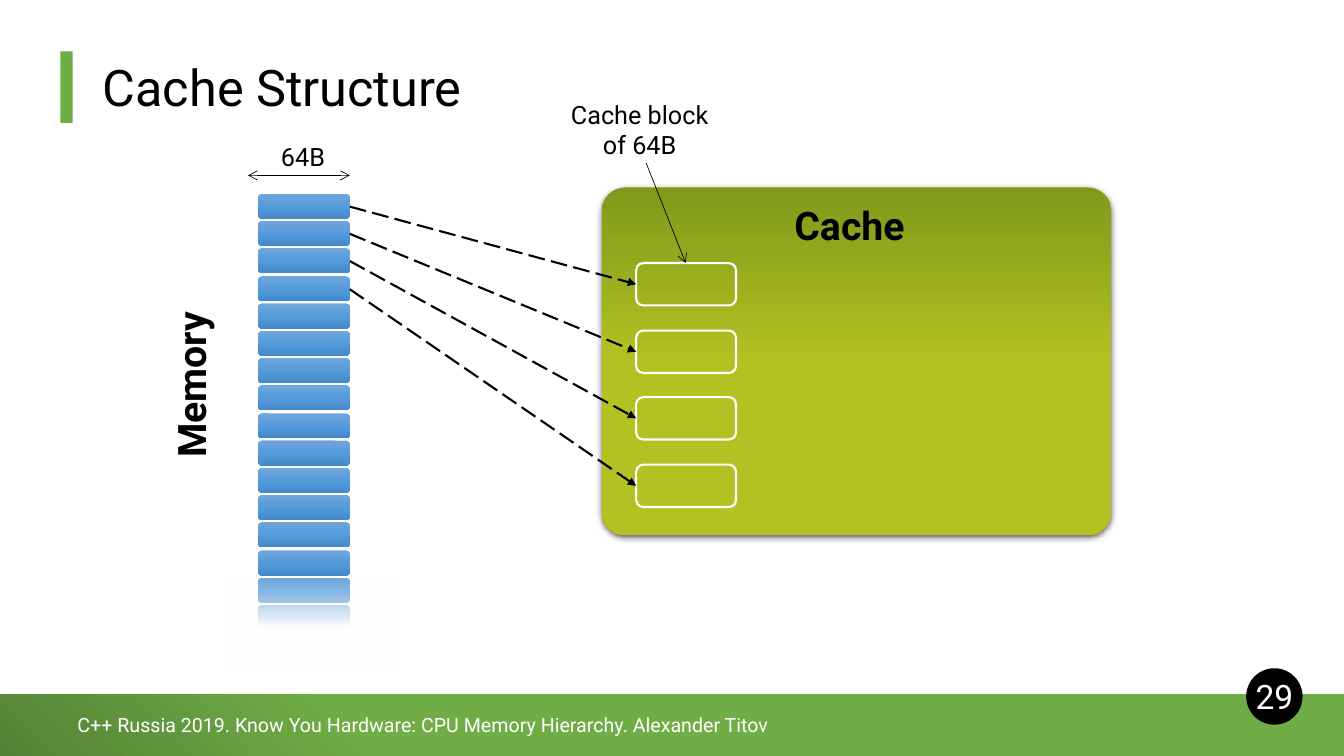
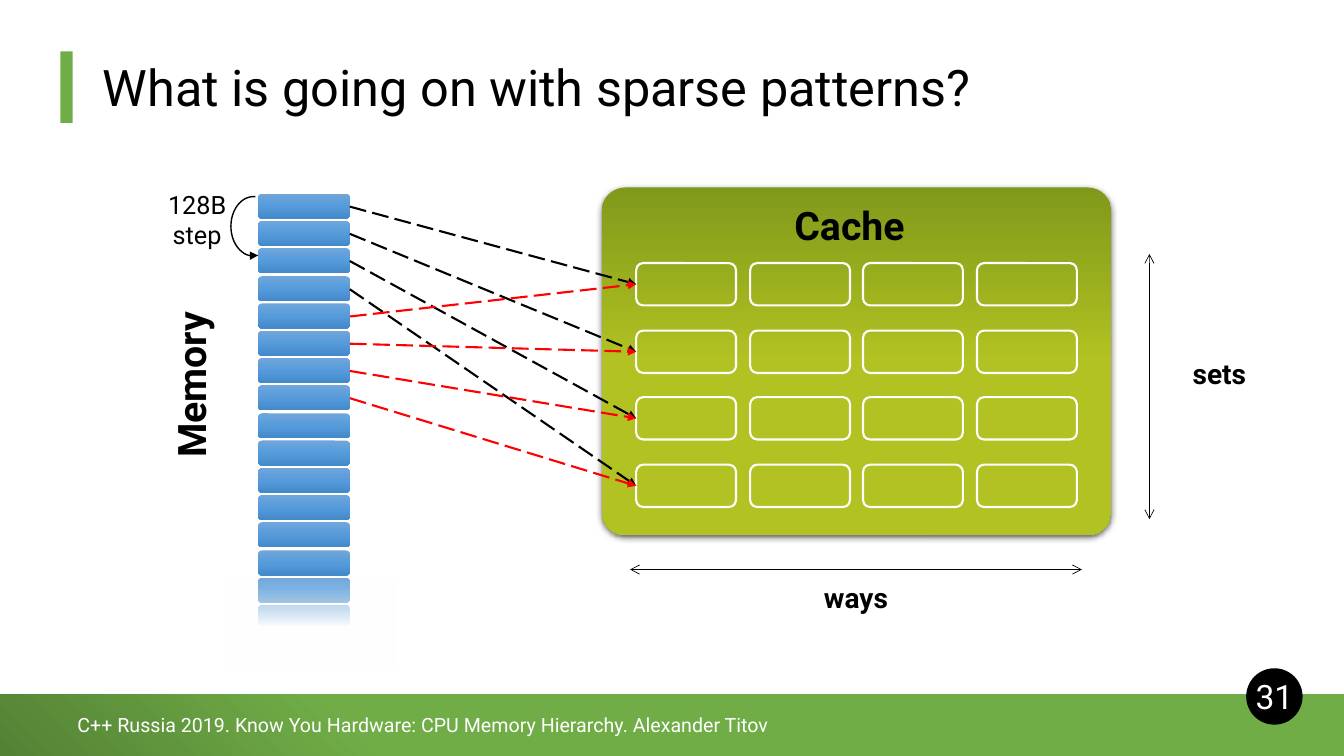
from dataclasses import dataclass

import pptx
import pptx.dml.color
import pptx.enum.dml
import pptx.enum.shapes
import pptx.enum.text
import pptx.oxml.ns
import pptx.util
from lxml import etree

PX = 9144
SHAPE = pptx.enum.shapes.MSO_SHAPE
ALIGN = pptx.enum.text.PP_ALIGN
ANCHOR = pptx.enum.text.MSO_ANCHOR
RGB = pptx.dml.color.RGBColor.from_string
Pt = pptx.util.Pt
qn = pptx.oxml.ns.qn


@dataclass(frozen=True)
class Theme:
    font: str = "Roboto"
    black: str = "000000"
    white: str = "FFFFFF"
    red: str = "FF0000"
    green: str = "70AD47"
    band: tuple = ((0, "548235", 100), (28, "70AD47", 100), (100, "70AD47", 100))
    cache: tuple = ((0, "7F991A", 100), (50, "B2C222", 100), (100, "B2C222", 100))
    block: tuple = ((0, "71A6DB", 100), (50, "559BDB", 100), (100, "448ACA", 100))
    fade: tuple = ((0, "FFFFFF", 0), (54, "FFFFFF", 100), (100, "FFFFFF", 100))
    title: int = 36
    heading: int = 28
    number: int = 24
    axis: int = 20
    label: int = 18
    footer: int = 14


T = Theme()


def add_shape(s, kind, box, fill=None, line=None, width=1.5, angle=270):
    sp = s.shapes.add_shape(kind, *[v * PX for v in box])
    sp.shadow.inherit = False
    if fill is None:
        sp.fill.background()
    elif isinstance(fill, str):
        sp.fill.solid()
        sp.fill.fore_color.rgb = RGB(fill)
    else:
        sp.fill.gradient()
        sp.fill.gradient_angle = angle
        stops = sp.element.spPr.find(".//" + qn("a:gsLst"))
        for gs in list(stops):
            stops.remove(gs)
        for pos, color, alpha in fill:
            gs = etree.SubElement(stops, qn("a:gs"), pos=str(pos * 1000))
            clr = etree.SubElement(gs, qn("a:srgbClr"), val=color)
            etree.SubElement(clr, qn("a:alpha"), val=str(alpha * 1000))
    if line:
        sp.line.color.rgb = RGB(line)
        sp.line.width = Pt(width)
    else:
        sp.line.fill.background()
    return sp


def add_text(s, box, lines, size, color=T.black, bold=False, align=ALIGN.CENTER, wrap=True):
    sp = s.shapes.add_textbox(*[v * PX for v in box])
    tf = sp.text_frame
    tf.word_wrap = wrap
    tf.vertical_anchor = ANCHOR.MIDDLE
    for i, line in enumerate(lines):
        p = tf.add_paragraph() if i else tf.paragraphs[0]
        p.alignment = align
        r = p.add_run()
        r.text = line
        r.font.name = T.font
        r.font.size = Pt(size)
        r.font.bold = bold
        r.font.color.rgb = RGB(color)
    return sp


prs = pptx.Presentation()
prs.slide_width = 1333 * PX
prs.slide_height = 750 * PX
layout = prs.slide_layouts[5]
for ph in list(layout.placeholders):
    if ph.placeholder_format.idx:
        ph.element.getparent().remove(ph.element)

block_x, block_w, block_h = 256, 91, 25
block_tops = [192 + round(27.2 * i) for i in range(16)]
cell_w, cell_h = 99, 42
cell_lefts = [631 + round(338 * i / 3) for i in range(4)]
cell_tops = [261 + round(200 * i / 3) for i in range(4)]

pages = [
    {
        "title": "Cache Structure",
        "number": "29",
        "ways": 1,
        "mapped": [T.black],
        "pointers": [((680, 261, 641, 162), "arrow", None),
                     ((246, 174, 347, 174), "arrow", "arrow")],
        "labels": [((546, 93, 177, 71), ["Cache block of 64B"], T.label, False, True),
                   ((268, 135, 65, 40), ["64B"], T.label, False, False)],
    },
    {
        "title": "What is going on with sparse patterns?",
        "number": "31",
        "ways": 4,
        "mapped": [T.black, T.red],
        "pointers": [((625, 565, 1073, 565), "arrow", "arrow"),
                     ((1140, 252, 1140, 515), "arrow", "arrow")],
        "labels": [((807, 571, 84, 44), ["ways"], T.axis, True, False),
                   ((1173, 348, 73, 44), ["sets"], T.axis, True, False),
                   ((156, 182, 79, 71), ["128B", "step"], T.label, False, True)],
    },
]

for page in pages:
    s = prs.slides.add_slide(layout)
    if page is pages[0]:
        shared = [
            add_shape(s, SHAPE.RECTANGLE, (0, 689, 1333, 61), T.band, angle=45),
            add_shape(s, SHAPE.RECTANGLE, (60, 51, 12, 71), T.green),
            add_shape(s, SHAPE.OVAL, (1236, 663, 56, 56), T.black),
            add_text(s, (67, 695, 1100, 48),
                     ["C++ Russia 2019. Know You Hardware: CPU Memory Hierarchy. Alexander Titov"],
                     T.footer, T.white, align=ALIGN.LEFT),
        ]
        for sp in shared:
            layout.shapes.element.append(sp.element)

    title = s.shapes.title
    title.left, title.top, title.width, title.height = [v * PX for v in (92, 0, 1150, 122)]
    tf = title.text_frame
    tf.auto_size = pptx.enum.text.MSO_AUTO_SIZE.NONE
    tf.vertical_anchor = ANCHOR.BOTTOM
    p = tf.paragraphs[0]
    p.alignment = ALIGN.LEFT
    p.line_spacing = 0.9
    r = p.add_run()
    r.text = page["title"]
    r.font.name = T.font
    r.font.size = Pt(T.title)
    r.font.color.rgb = RGB(T.black)

    add_text(s, (1228, 663, 72, 56), [page["number"]], T.number, T.white)

    for top in block_tops:
        add_shape(s, SHAPE.ROUNDED_RECTANGLE, (block_x, top, block_w, block_h), T.block)
    add_shape(s, SHAPE.RECTANGLE, (224, 573, 168, 90), T.fade)
    memory = add_text(s, (106, 353, 166, 57), ["Memory"], T.heading, bold=True, wrap=False)
    memory.rotation = 270

    cache = add_shape(s, SHAPE.ROUNDED_RECTANGLE, (597, 186, 505, 345), T.cache)
    cache.adjustments[0] = 0.067
    effects = cache.element.spPr.find(qn("a:effectLst"))
    shadow = etree.SubElement(effects, qn("a:outerShdw"), blurRad=str(Pt(4.5)),
                              dist=str(Pt(1.5)), dir="5400000", algn="t", rotWithShape="0")
    clr = etree.SubElement(shadow, qn("a:srgbClr"), val=T.black)
    etree.SubElement(clr, qn("a:alpha"), val="63000")
    add_text(s, (777, 195, 131, 57), ["Cache"], T.heading, bold=True, wrap=False)
    for top in cell_tops:
        for left in cell_lefts[:page["ways"]]:
            add_shape(s, SHAPE.ROUNDED_RECTANGLE, (left, top, cell_w, cell_h), line=T.white)

    arrows = [(ends, T.black, 0.5, head, tail) for ends, head, tail in page["pointers"]]
    for i, color in enumerate(page["mapped"]):
        for block_top, cell_top in zip(block_tops[4 * i:4 * i + 4], cell_tops):
            ends = (block_x + block_w, block_top + block_h // 2 + 1,
                    cell_lefts[0], cell_top + cell_h // 2)
            arrows.append((ends, color, 1.5, None, "triangle"))
    for ends, color, width, head, tail in arrows:
        cxn = s.shapes.add_connector(pptx.enum.shapes.MSO_CONNECTOR.STRAIGHT,
                                     *[v * PX for v in ends])
        cxn.line.color.rgb = RGB(color)
        cxn.line.width = Pt(width)
        if tail == "triangle":
            cxn.line.dash_style = pptx.enum.dml.MSO_LINE.LONG_DASH
        for tag, kind in (("a:headEnd", head), ("a:tailEnd", tail)):
            if kind:
                etree.SubElement(cxn.get_or_add_ln(), qn(tag), type=kind)
        etree.SubElement(cxn.element.spPr, qn("a:effectLst"))

    for box, lines, size, bold, wrap in page["labels"]:
        add_text(s, box, lines, size, bold=bold, wrap=wrap)

arc = add_shape(s, SHAPE.ARC, (229, 195, 45, 59), line=T.black, width=1)
arc.adjustments[0] = 159.99
arc.adjustments[1] = 59.4
arc.element.spPr.find(qn("a:xfrm")).set("flipH", "1")
etree.SubElement(arc.get_or_add_ln(), qn("a:tailEnd"), type="triangle")

prs.save("out.pptx")
